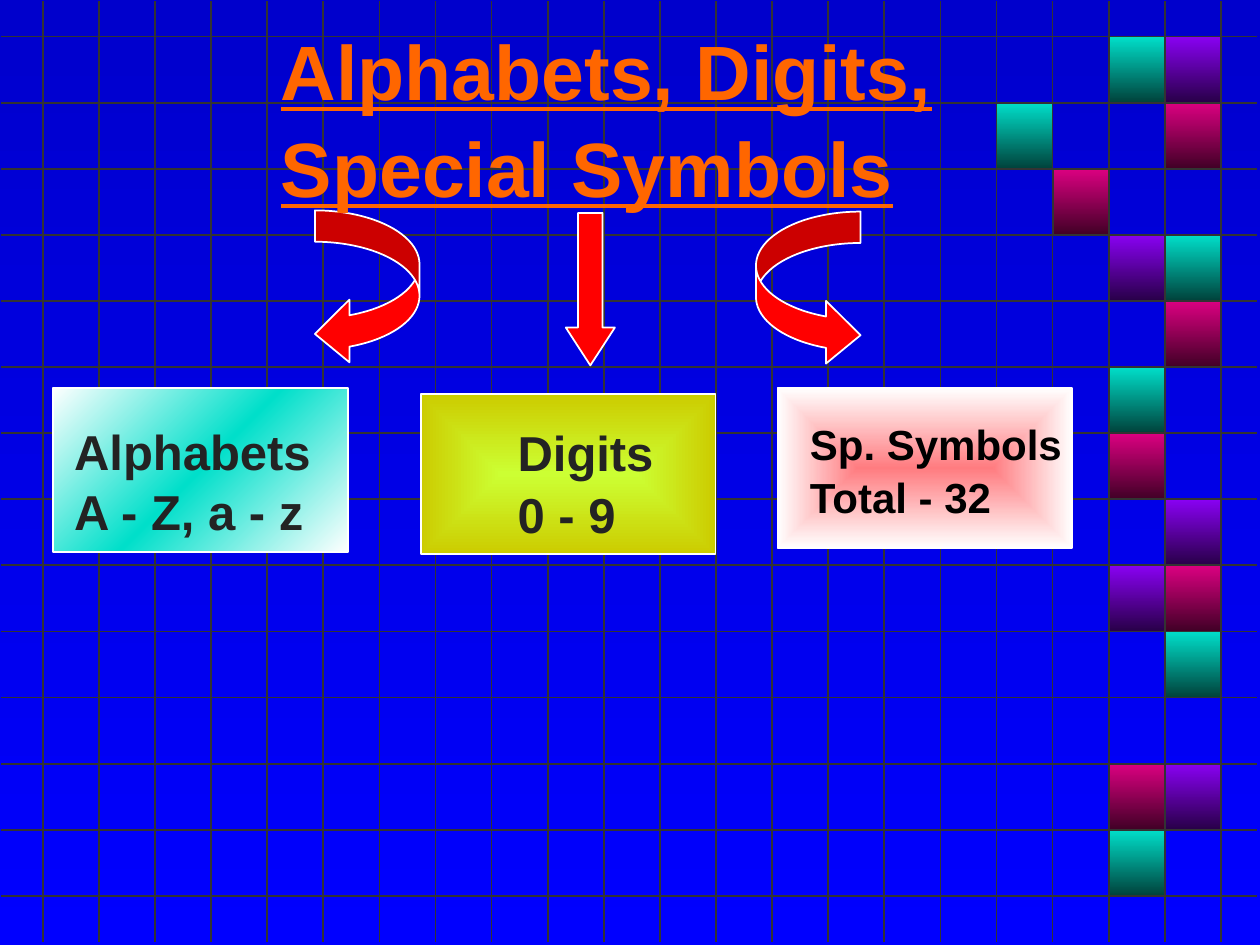
from dataclasses import dataclass
from lxml.etree import SubElement
from pptx import Presentation
from pptx.dml.color import RGBColor
from pptx.enum.shapes import MSO_CONNECTOR as Connector, MSO_SHAPE as Shape
from pptx.enum.text import MSO_ANCHOR as Anchor, MSO_AUTO_SIZE as AutoSize, PP_ALIGN as Align
from pptx.oxml.ns import qn
from pptx.util import Inches, Pt


@dataclass(frozen=True)
class Gradient:
    colors: tuple
    angle: int | None = 90


@dataclass(frozen=True)
class Theme:
    font: str = "Arial"
    title_size: int = 44
    label_size: int = 28
    small_size: int = 24
    title: str = "FF6600"
    label: str = "232323"
    black: str = "000000"
    grid: str = "333333"
    edge: str = "FFFFFF"
    arrow: str = "FF0000"
    background: Gradient = Gradient(("0000CC", "0000FF"))
    teal: Gradient = Gradient(("00DFCA", "00423B"))
    purple: Gradient = Gradient(("8901F3", "280048"))
    pink: Gradient = Gradient(("DC0081", "410026"))
    alphabets: Gradient = Gradient(("FFFFFF", "00DFCA", "FFFFFF"), 225)
    digits: Gradient = Gradient(("CCFF33", "CCCC00"), None)
    symbols: Gradient = Gradient(("FF7C80", "FFFFFF"), None)


@dataclass(frozen=True)
class Tile:
    row: int
    col: int
    fill: Gradient


@dataclass(frozen=True)
class Block:
    kind: Shape
    box: tuple
    fill: Gradient | str
    adjustments: tuple = ()


@dataclass(frozen=True)
class Label:
    text: str
    box: tuple
    size: int
    color: str
    wrap: bool = True
    spacing: float = 1.05
    gap: float = 0


T = Theme()
LEFT, TOP = 0.34, 0.29
COLS, ROWS = 22, 14
COL_W = (9.69 - LEFT) / (COLS - 1)
ROW_H = (7.11 - TOP) / (ROWS - 1)

TILES = (
    Tile(0, 19, T.teal), Tile(0, 20, T.purple),
    Tile(1, 17, T.teal), Tile(1, 20, T.pink),
    Tile(2, 18, T.pink),
    Tile(3, 19, T.purple), Tile(3, 20, T.teal),
    Tile(4, 20, T.pink),
    Tile(5, 19, T.teal),
    Tile(6, 19, T.pink),
    Tile(7, 20, T.purple),
    Tile(8, 19, T.purple), Tile(8, 20, T.pink),
    Tile(9, 20, T.teal),
    Tile(11, 19, T.pink), Tile(11, 20, T.purple),
    Tile(12, 19, T.teal),
)
CURVE = (0.3, 0.6, 0.33)
BLOCKS = (
    Block(Shape.RECTANGLE, (0.42, 3.08, 2.34, 1.3), T.alphabets),
    Block(Shape.RECTANGLE, (3.34, 3.13, 2.34, 1.27), T.digits),
    Block(Shape.RECTANGLE, (6.17, 3.08, 2.34, 1.27), T.symbols),
    Block(Shape.CURVED_LEFT_ARROW, (2.5, 1.67, 0.83, 1.23), T.arrow, CURVE),
    Block(Shape.DOWN_ARROW, (4.49, 1.69, 0.39, 1.21), T.arrow, (0.5, 0.77)),
    Block(Shape.CURVED_RIGHT_ARROW, (6, 1.68, 0.83, 1.23), T.arrow, CURVE),
)
TITLE = Label("Alphabets, Digits, \nSpecial Symbols", (2.13, 0.1, 5.53, 1.57),
              T.title_size, T.title, wrap=False)
LABELS = (
    Label("Alphabets\nA - Z, a - z", (0.49, 3.5, 4.19, 0.81), T.label_size, T.label,
          spacing=0.5, gap=17.5),
    Label("Digits\n0 - 9", (4.01, 3.28, 1.67, 1.04), T.label_size, T.label),
    Label("Sp. Symbols\nTotal - 32", (6.33, 3.25, 2.2, 0.9), T.small_size, T.black, wrap=False),
)


def rgb(color: str) -> RGBColor:
    return RGBColor.from_string(color)


def paint(fill, owner, gradient: Gradient) -> None:
    fill.gradient()
    grad = next(owner.iter(qn("a:gradFill")))
    for child in list(grad):
        grad.remove(child)
    stops = SubElement(grad, qn("a:gsLst"))
    for i, color in enumerate(gradient.colors):
        pos = 100000 * i // (len(gradient.colors) - 1)
        stop = SubElement(stops, qn("a:gs"), pos=str(pos))
        SubElement(stop, qn("a:srgbClr"), val=color)
    if gradient.angle is None:
        rect = SubElement(grad, qn("a:path"), {"path": "rect"})
        SubElement(rect, qn("a:fillToRect"), dict.fromkeys("ltrb", "50000"))
    else:
        SubElement(grad, qn("a:lin"), ang=str(gradient.angle * 60000), scaled="0")


def add_block(s, block: Block, edge: str = T.edge) -> None:
    sp = s.shapes.add_shape(block.kind, *map(Inches, block.box))
    sp.shadow.inherit = False
    for i, value in enumerate(block.adjustments):
        sp.adjustments[i] = value
    if isinstance(block.fill, Gradient):
        paint(sp.fill, sp._element, block.fill)
    else:
        sp.fill.solid()
        sp.fill.fore_color.rgb = rgb(block.fill)
    sp.line.color.rgb = rgb(edge)
    sp.line.width = Pt(1)


def add_grid_line(s, x1: float, y1: float, x2: float, y2: float) -> None:
    line = s.shapes.add_connector(Connector.STRAIGHT, *map(Inches, (x1, y1, x2, y2)))
    line.line.color.rgb = rgb(T.grid)
    line.line.width = Pt(1)
    SubElement(line._element.spPr, qn("a:effectLst"))


def add_tile(s, tile: Tile) -> None:
    box = (LEFT + tile.col * COL_W, TOP + tile.row * ROW_H, COL_W, ROW_H)
    add_block(s, Block(Shape.RECTANGLE, box, tile.fill), T.grid)


def write(sp, label: Label, underline: bool = False) -> None:
    sp.left, sp.top, sp.width, sp.height = map(Inches, label.box)
    tf = sp.text_frame
    tf.text = label.text
    tf.word_wrap = label.wrap
    tf.auto_size = AutoSize.NONE
    tf.vertical_anchor = Anchor.TOP
    for i, p in enumerate(tf.paragraphs):
        p.alignment = Align.LEFT
        p.line_spacing = label.spacing
        if i and label.gap:
            p.space_before = Pt(label.gap)
        for r in p.runs:
            r.font.name = T.font
            r.font.size = Pt(label.size)
            r.font.bold = True
            r.font.underline = underline
            r.font.color.rgb = rgb(label.color)


def main() -> None:
    """Build the character-set slide and save it."""
    prs = Presentation()
    prs.slide_width, prs.slide_height = Inches(10), Inches(7.5)
    s = prs.slides.add_slide(prs.slide_layouts[5])
    paint(s.background.fill, s._element, T.background)
    for row in range(ROWS):
        y = TOP + row * ROW_H
        add_grid_line(s, 0.01, y, 9.98, y)
    for col in range(COLS):
        x = LEFT + col * COL_W
        add_grid_line(s, x, 0.01, x, 7.48)
    for tile in TILES:
        add_tile(s, tile)
    for block in BLOCKS:
        add_block(s, block)
    for label in LABELS:
        write(s.shapes.add_textbox(*map(Inches, label.box)), label)
    title = s.shapes.title
    write(title, TITLE, underline=True)
    s.shapes._spTree.append(title._element)
    prs.save("out.pptx")


if __name__ == "__main__":
    main()
